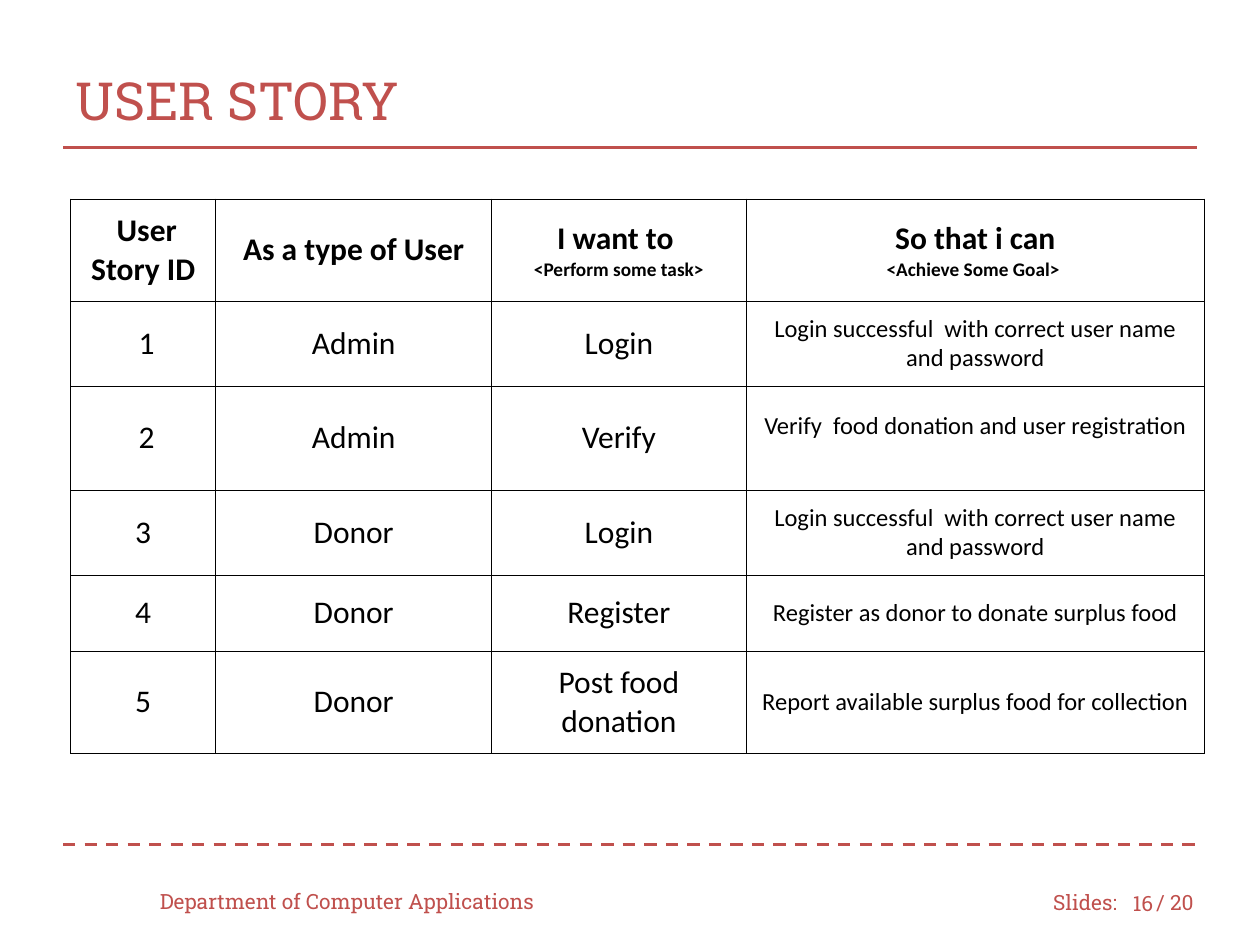
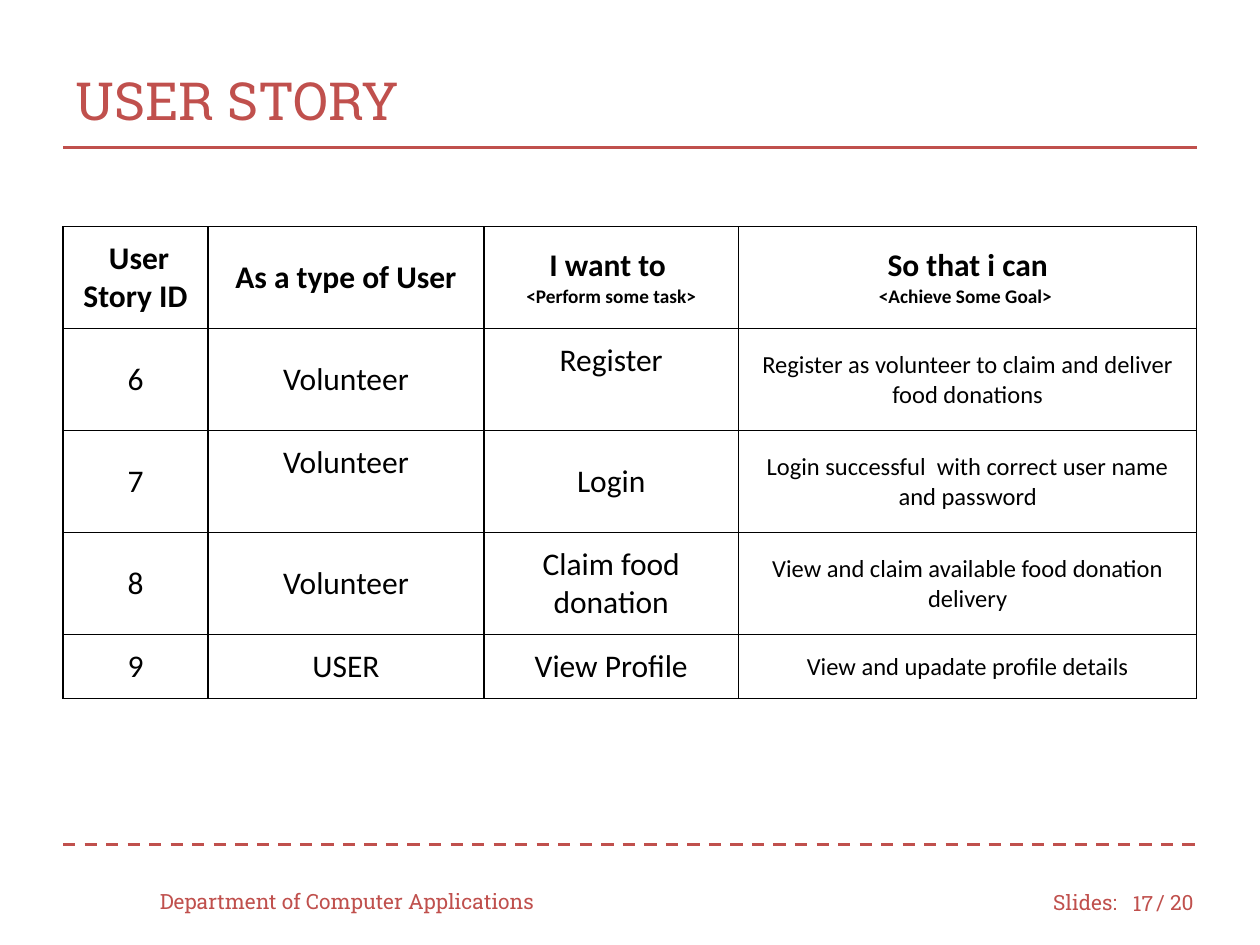
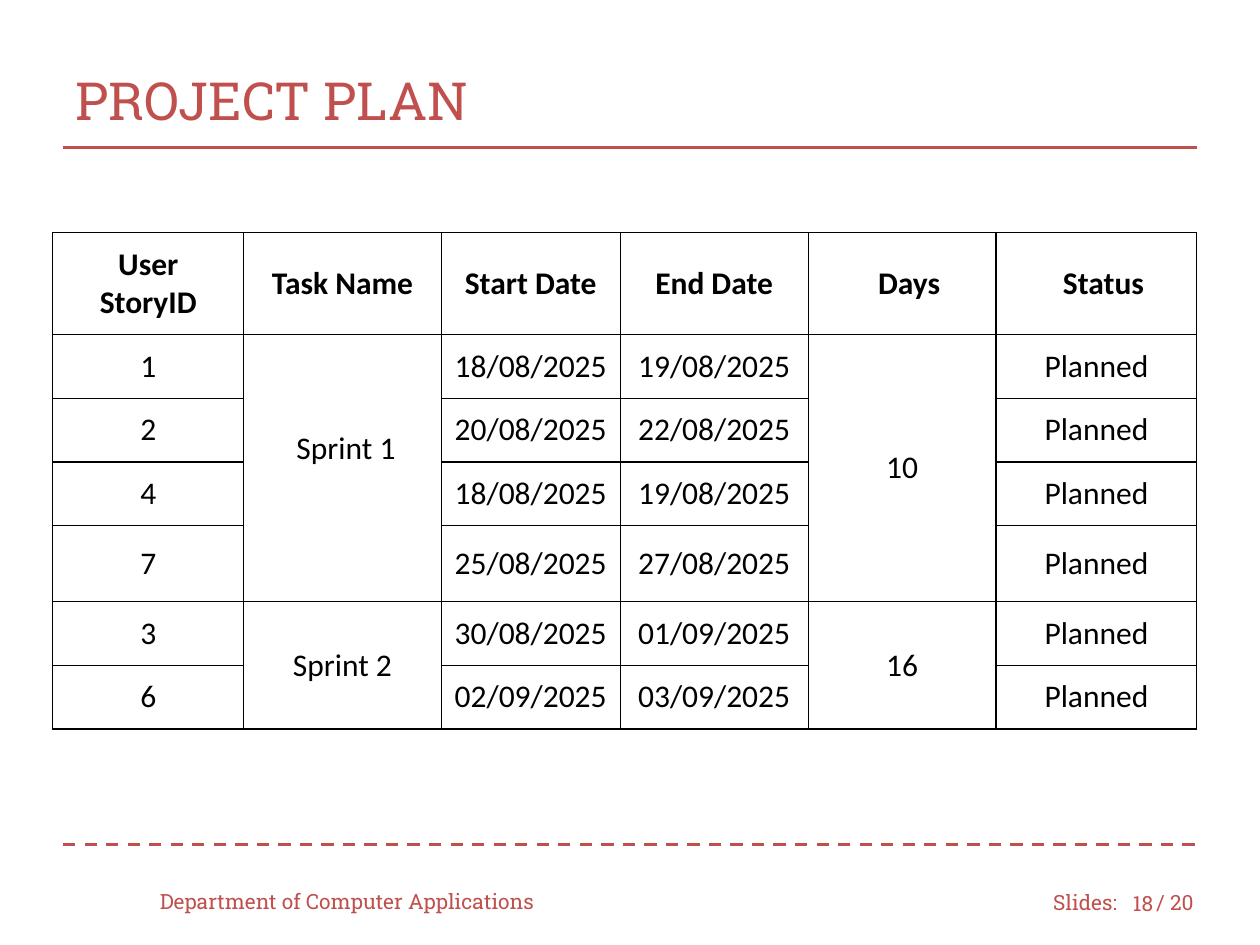
"""Build the user story and project plan slides."""
from dataclasses import dataclass
from typing import Any

from lxml.etree import SubElement
from pptx import Presentation
from pptx.dml.color import RGBColor
from pptx.enum.dml import MSO_LINE
from pptx.enum.shapes import MSO_CONNECTOR
from pptx.enum.text import MSO_ANCHOR, PP_ALIGN
from pptx.oxml import parse_xml
from pptx.oxml.ns import nsdecls, qn
from pptx.util import Pt

COLORS = {"accent": "C0504D", "ink": "000000", "paper": "FFFFFF"}
HEADING_FONT = "Roboto Slab"
BODY_FONT = "Calibri"
CELL_MARGIN = 7.2
BORDER_WIDTH = 0.75
LINE_SPAN = (36, 684)
SINGLE_ROW, DOUBLE_ROW = 36.4, 58.3


@dataclass(frozen=True)
class Label:
    text: str
    left: float
    top: float
    width: float
    height: float = 28.8
    size: float = 12
    align: PP_ALIGN = PP_ALIGN.LEFT


@dataclass(frozen=True)
class Rule:
    top: float
    dash: MSO_LINE


@dataclass(frozen=True)
class Entry:
    text: str
    note: str = ""
    lift: float = 0
    nudge: float = 0


@dataclass(frozen=True)
class Grid:
    left: float
    top: float
    columns: tuple[float, ...]
    heights: tuple[float, ...]
    rows: tuple[tuple[Any, ...], ...]
    column_sizes: dict[int, float]


@dataclass(frozen=True)
class Page:
    title: str
    number: int
    grid: Grid


RULES = (Rule(84.24, MSO_LINE.SOLID), Rule(482.4, MSO_LINE.DASH))
FOOTER = (
    Label("Department of Computer Applications", 84.24, 500.4, 239.76),
    Label("Slides:", 594.72, 501.12, 54),
    Label("/ 20", 653.76, 501.12, 41.76),
)

STORY_COLUMNS = (82.9, 157.7, 145.4, 262)
STORY_SIZES = {3: 14}
STORY_HEADER = (
    " User Story ID",
    "As a type of User",
    Entry("I want to ", note="<Perform some task>"),
    Entry("So that i can", note="<Achieve Some Goal> "),
)
LOGIN_GOAL = "Login successful  with correct user name and password"

FIRST_STORIES = Grid(
    40.4, 113.8, STORY_COLUMNS,
    (DOUBLE_ROW, 48.6, 59.4, 48.6, 43.4, DOUBLE_ROW),
    (
        STORY_HEADER,
        (Entry("1", nudge=4), "Admin", "Login", LOGIN_GOAL),
        (Entry("2", nudge=4), "Admin", "Verify",
         Entry("Verify  food donation and user registration", lift=14)),
        ("3", "Donor", "Login", LOGIN_GOAL),
        ("4", "Donor", "Register", "Register as donor to donate surplus food"),
        ("5", "Donor", "Post food donation", "Report available surplus food for collection"),
    ),
    STORY_SIZES,
)

LATER_STORIES = Grid(
    36, 129.6, STORY_COLUMNS,
    (DOUBLE_ROW,) * 4 + (SINGLE_ROW,),
    (
        STORY_HEADER,
        ("6", "Volunteer", Entry("Register", lift=22),
         "Register as volunteer to claim and deliver food donations"),
        ("7", Entry("Volunteer", lift=22), "Login", LOGIN_GOAL),
        ("8", "Volunteer", "Claim food donation",
         "View and claim available food donation delivery"),
        ("9", "USER", "View Profile", "View and upadate profile details"),
    ),
    STORY_SIZES,
)

SPRINT_PLAN = Grid(
    30.2, 132.9, (109.1, 112.9, 102.3, 107.4, 107.4, 114.8),
    (DOUBLE_ROW,) + (SINGLE_ROW,) * 3 + (43.4,) + (SINGLE_ROW,) * 2,
    (
        ("User\nStoryID", "Task Name", "Start Date", "End Date",
         Entry("Days", nudge=8), Entry("Status", nudge=8)),
        ("1", Entry("Sprint 1", lift=22, nudge=4), "18/08/2025", "19/08/2025", "10", "Planned"),
        ("2", None, "20/08/2025", "22/08/2025", None, "Planned"),
        ("4", None, "18/08/2025", "19/08/2025", None, "Planned"),
        ("7", None, "25/08/2025", "27/08/2025", None, "Planned"),
        ("3", "Sprint 2", "30/08/2025", "01/09/2025", "16", "Planned"),
        ("6", None, "02/09/2025", "03/09/2025", None, "Planned"),
    ),
    {},
)

PAGES = (
    Page("USER STORY", 16, FIRST_STORIES),
    Page("USER STORY", 17, LATER_STORIES),
    Page("PROJECT PLAN", 18, SPRINT_PLAN),
)


def apply(target: Any, values: dict[str, Any]) -> None:
    for attribute, value in values.items():
        setattr(target, attribute, value)


def color(key: str) -> RGBColor:
    return RGBColor.from_string(COLORS[key])


def write(paragraph: Any, text: str, key: str, align: PP_ALIGN, **font: Any) -> None:
    run = paragraph.add_run()
    run.text = text
    paragraph.alignment = align
    apply(run.font, font)
    run.font.color.rgb = color(key)


def draw_label(slide: Any, label: Label) -> None:
    bounds = (label.left, label.top, label.width, label.height)
    frame = slide.shapes.add_textbox(*map(Pt, bounds)).text_frame
    apply(frame, {"word_wrap": True, "vertical_anchor": MSO_ANCHOR.MIDDLE})
    write(frame.paragraphs[0], label.text, "accent", label.align,
          name=HEADING_FONT, size=Pt(label.size))


def draw_rule(slide: Any, rule: Rule) -> None:
    start, end = map(Pt, LINE_SPAN)
    connector = slide.shapes.add_connector(
        MSO_CONNECTOR.STRAIGHT, start, Pt(rule.top), end, Pt(rule.top))
    apply(connector.line, {"width": Pt(1.75), "dash_style": rule.dash})
    connector.line.color.rgb = color("accent")
    SubElement(connector._element.spPr, qn("a:effectLst"))


def draw_borders(cell: Any) -> None:
    properties = cell._tc.get_or_add_tcPr()
    for position, side in enumerate("LRTB"):
        properties.insert(position, parse_xml(
            f'<a:ln{side} {nsdecls("a")} w="{Pt(BORDER_WIDTH)}"><a:solidFill>'
            f'<a:srgbClr val="{COLORS["ink"]}"/></a:solidFill></a:ln{side}>'))


def fill_cell(cell: Any, entry: Entry, size: float, bold: bool) -> None:
    apply(cell, {
        "margin_left": Pt(CELL_MARGIN + entry.nudge),
        "margin_right": Pt(CELL_MARGIN),
        "margin_top": Pt(CELL_MARGIN),
        "margin_bottom": Pt(CELL_MARGIN + entry.lift),
        "vertical_anchor": MSO_ANCHOR.MIDDLE,
    })
    lines = [(text, size) for text in entry.text.split("\n")]
    if entry.note:
        lines.append((entry.note, 11))
    frame = cell.text_frame
    for index, (text, line_size) in enumerate(lines):
        paragraph = frame.add_paragraph() if index else frame.paragraphs[0]
        write(paragraph, text, "ink", PP_ALIGN.CENTER,
              name=BODY_FONT, size=Pt(line_size), bold=bold)


def draw_grid(slide: Any, grid: Grid) -> None:
    bounds = (grid.left, grid.top, sum(grid.columns), sum(grid.heights))
    table = slide.shapes.add_table(
        len(grid.rows), len(grid.columns), *map(Pt, bounds)).table
    apply(table, {"first_row": False, "horz_banding": False})
    for column, width in zip(table.columns, grid.columns):
        column.width = Pt(width)
    for row, height in zip(table.rows, grid.heights):
        row.height = Pt(height)
    for across in range(len(grid.columns)):
        for down, row in enumerate(grid.rows):
            cell = table.cell(down, across)
            cell.fill.solid()
            cell.fill.fore_color.rgb = color("paper")
            draw_borders(cell)
            content = row[across]
            if content is None:
                continue
            entry = content if isinstance(content, Entry) else Entry(content)
            size = grid.column_sizes.get(across, 18) if down else 18
            fill_cell(cell, entry, size, bold=down == 0)
            last = down
            while last + 1 < len(grid.rows) and grid.rows[last + 1][across] is None:
                last += 1
            if last > down:
                cell.merge(table.cell(last, across))


def draw_page(slide: Any, page: Page) -> None:
    for rule in RULES:
        draw_rule(slide, rule)
    title = Label(page.title, 36, 23.76, 648, 66.24, size=30)
    number = Label(str(page.number), 635.76, 501.84, 30.24, align=PP_ALIGN.RIGHT)
    for label in (title, *FOOTER, number):
        draw_label(slide, label)
    draw_grid(slide, page.grid)


def main() -> None:
    deck = Presentation()
    apply(deck, {"slide_width": Pt(720), "slide_height": Pt(540)})
    for page in PAGES:
        draw_page(deck.slides.add_slide(deck.slide_layouts[6]), page)
    deck.save("out.pptx")


if __name__ == "__main__":
    main()
